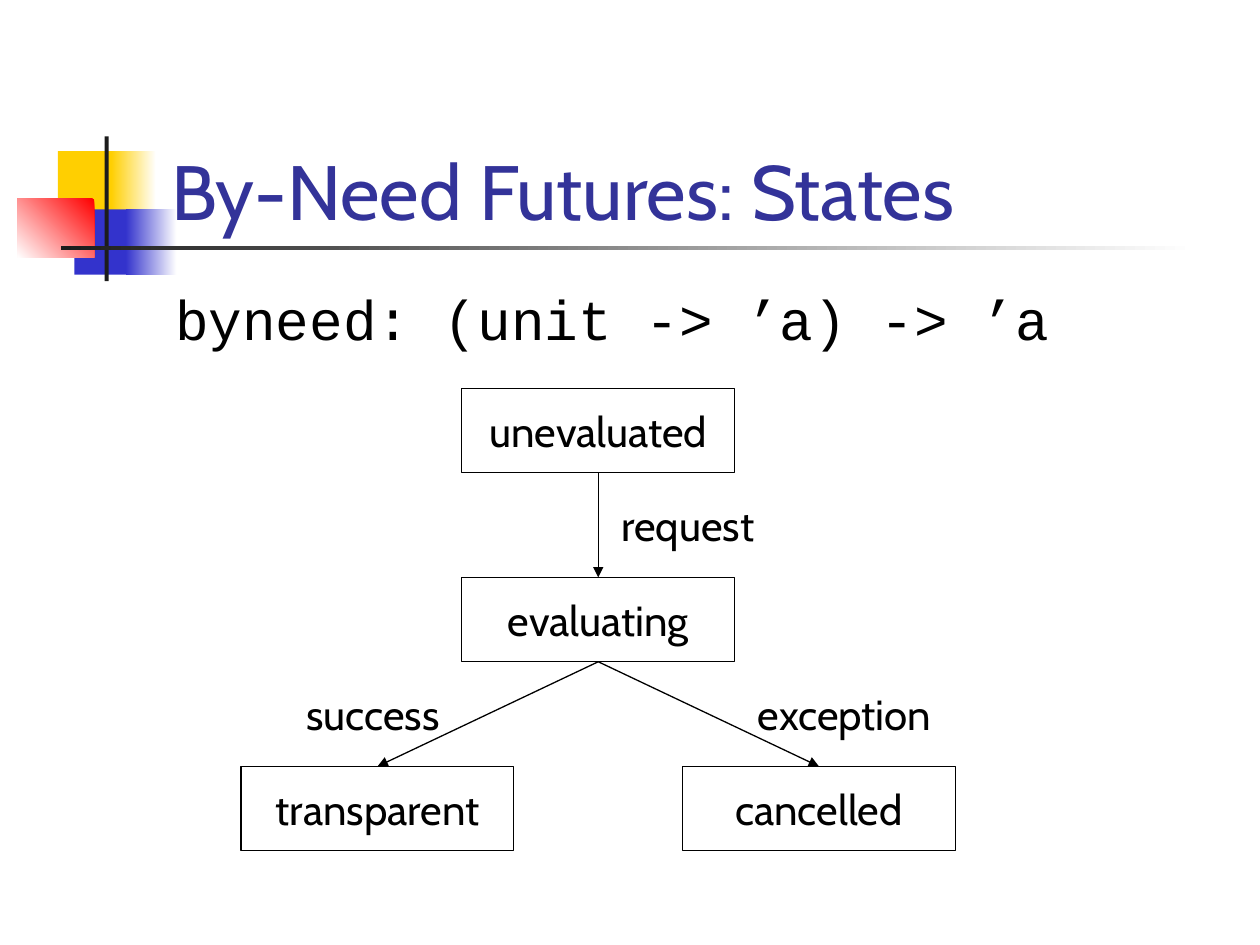
from lxml.etree import SubElement
from pptx import Presentation
from pptx.dml.color import RGBColor
from pptx.enum.shapes import MSO_CONNECTOR as CONN, MSO_SHAPE as SHAPE
from pptx.enum.text import MSO_ANCHOR as ANCHOR, PP_ALIGN as ALIGN
from pptx.oxml.ns import qn
from pptx.util import Cm, Pt

WHITE = RGBColor(0xFF, 0xFF, 0xFF)
BLACK = RGBColor(0x00, 0x00, 0x00)
DARK = RGBColor(0x1C, 0x1C, 0x1C)
YELLOW = RGBColor(0xFF, 0xCF, 0x01)
BLUE = RGBColor(0x33, 0x33, 0xCC)
RED = RGBColor(0xFF, 0x00, 0x00)
TITLE = RGBColor(0x33, 0x33, 0x99)


def set_text(s, text, size, color=BLACK, font="Cabin", align=ALIGN.LEFT, anchor=ANCHOR.TOP):
    tf = s.text_frame
    tf.word_wrap = True
    tf.vertical_anchor = anchor
    p = tf.paragraphs[0]
    p.text = text
    p.alignment = align
    p.font.size = Pt(size)
    p.font.name = font
    p.font.color.rgb = color


def add_rect(x, y, w, h):
    s = slide.shapes.add_shape(SHAPE.RECTANGLE, Cm(x), Cm(y), Cm(w), Cm(h))
    s.shadow.inherit = False
    return s


prs = Presentation()
prs.slide_width, prs.slide_height = Cm(25.4), Cm(19.05)
slide = prs.slides.add_slide(prs.slide_layouts[6])

for x, y, w, h, color, angle in [
    (1.17, 3.05, 1.22, 1.32, YELLOW, None),
    (2.24, 3.05, 0.91, 1.32, YELLOW, 0),
    (1.5, 4.22, 1.17, 1.32, BLUE, None),
    (2.54, 4.22, 1.02, 1.32, BLUE, 0),
    (0.35, 4.01, 1.55, 1.18, RED, 225),
    (2.11, 2.75, 0.08, 2.92, DARK, None),
    (1.23, 4.95, 22.86, 0.09, DARK, 0),
]:
    s = add_rect(x, y, w, h)
    s.line.fill.background()
    if angle is None:
        s.fill.solid()
        s.fill.fore_color.rgb = color
    else:
        s.fill.gradient()
        s.fill.gradient_angle = angle
        for stop, stop_color, position in zip(s.fill.gradient_stops, (color, WHITE), (0, 1)):
            stop.color.rgb = stop_color
            stop.position = position

s = slide.shapes.add_textbox(Cm(3.2), Cm(1.7), Cm(21.64), Cm(3.18))
set_text(s, "By-Need Futures: States", 44, TITLE, anchor=ANCHOR.BOTTOM)
s = slide.shapes.add_textbox(Cm(3.28), Cm(5.61), Cm(21.59), Cm(1.6))
set_text(s, "byneed: (unit -> ’a) -> ’a", 32, font="Courier New")

BOX_W, BOX_H = 5.5, 1.7
MID_X, TOP_Y = 9.31, 7.83
STEP_X, STEP_Y = 4.45, 3.81
states = {}
for name, col, row in [
    ("unevaluated", 0, 0),
    ("evaluating", 0, 1),
    ("transparent", -1, 2),
    ("cancelled", 1, 2),
]:
    s = add_rect(MID_X + col * STEP_X, TOP_Y + row * STEP_Y, BOX_W, BOX_H)
    s.fill.background()
    s.line.color.rgb = BLACK
    s.line.width = Pt(0.75)
    set_text(s, name, 24, align=ALIGN.CENTER, anchor=ANCHOR.MIDDLE)
    states[name] = s

for start, end, label, x, row, w, align in [
    ("unevaluated", "evaluating", "request", 12.28, 0, 3.39, ALIGN.LEFT),
    ("evaluating", "transparent", "success", 5.72, 1, 3.39, ALIGN.RIGHT),
    ("evaluating", "cancelled", "exception", 15.03, 1, 4.23, ALIGN.LEFT),
]:
    c = slide.shapes.add_connector(CONN.STRAIGHT, 0, 0, 0, 0)
    c.begin_connect(states[start], 2)
    c.end_connect(states[end], 0)
    c.line.color.rgb = BLACK
    c.line.width = Pt(0.75)
    SubElement(c.line._get_or_add_ln(), qn("a:tailEnd"), type="triangle")
    SubElement(c._element.spPr, qn("a:effectLst"))
    s = slide.shapes.add_textbox(Cm(x), Cm(9.95 + row * STEP_Y), Cm(w), Cm(1.27))
    set_text(s, label, 24, align=align)

prs.save("out.pptx")
